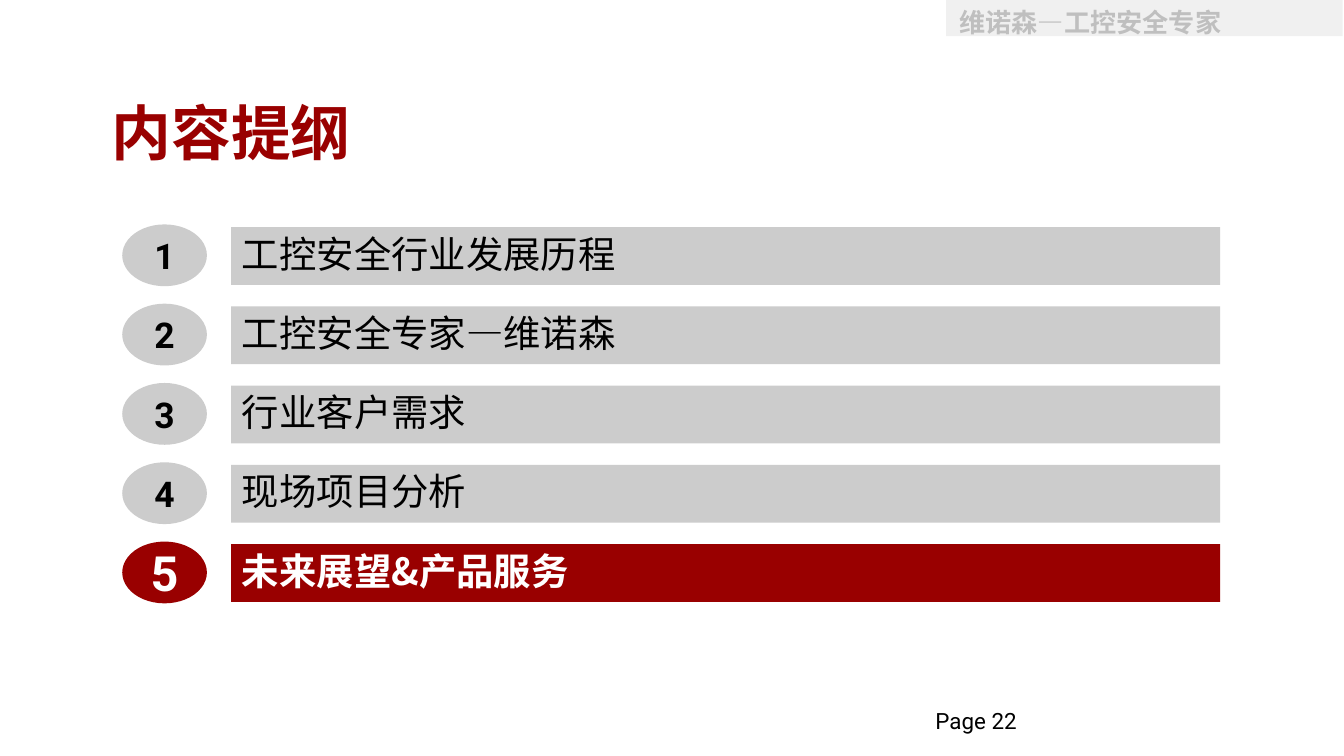
from pptx import Presentation
from pptx.dml.color import RGBColor
from pptx.enum.shapes import MSO_SHAPE
from pptx.enum.text import MSO_ANCHOR, PP_ALIGN
from pptx.oxml.ns import qn
from pptx.util import Inches, Pt
from lxml.etree import SubElement

TITLE = "内容提纲"
BANNER = "维诺森—工控安全专家"
PAGE = "Page 22"
TOPICS = [
    "工控安全行业发展历程",
    "工控安全专家—维诺森",
    "行业客户需求",
    "现场项目分析",
    "未来展望&产品服务",
]
CURRENT = 5

RED = RGBColor(0x99, 0x00, 0x00)
GRAY = RGBColor(0xCC, 0xCC, 0xCC)
PALE = RGBColor(0xF0, 0xF0, 0xF0)
SILVER = RGBColor(0xBF, 0xBF, 0xBF)
BLACK = RGBColor(0x00, 0x00, 0x00)
WHITE = RGBColor(0xFF, 0xFF, 0xFF)
CJK = "Noto Sans CJK SC"
LATIN = "Roboto"

TOP, PITCH = 1.69, 0.59
BAR_X, BAR_W, BAR_H = 1.72, 7.36, 0.43
OVAL_X, OVAL_W, OVAL_H = 0.91, 0.63, 0.46
OVAL_RISE = 0.02
ITEM_INSETS = (0.08, 0.04, 0.08, 0.04)


def write(sp, text, font, size, color, bold=False, align=PP_ALIGN.LEFT,
          anchor=MSO_ANCHOR.MIDDLE, insets=(0.1, 0.05, 0.1, 0.05),
          wrap=True, spacing=1.0):
    tf = sp.text_frame
    tf.word_wrap = wrap
    tf.vertical_anchor = anchor
    tf.margin_left, tf.margin_top, tf.margin_right, tf.margin_bottom = map(Inches, insets)
    p = tf.paragraphs[0]
    p.text = text
    p.alignment = align
    p.line_spacing = spacing
    p.font.name = font
    p.font.size = Pt(size)
    p.font.bold = bold
    p.font.color.rgb = color
    SubElement(p._p.pPr.find(qn("a:defRPr")), qn("a:ea"), typeface=font)


def add_block(s, kind, box, fill):
    sp = s.shapes.add_shape(kind, *map(Inches, box))
    sp.shadow.inherit = False
    sp.fill.solid()
    sp.fill.fore_color.rgb = fill
    sp.line.fill.background()
    return sp


def add_text(s, box):
    return s.shapes.add_textbox(*map(Inches, box))


prs = Presentation()
prs.slide_width = Inches(10)
prs.slide_height = prs.slide_width * 9 // 16
s = prs.slides.add_slide(prs.slide_layouts[6])

write(add_text(s, (6.96, 5.29, 2.29, 0.37)), PAGE, LATIN, 12, BLACK,
      anchor=MSO_ANCHOR.TOP, insets=(0, 0, 0, 0), spacing=0.85)
write(add_block(s, MSO_SHAPE.RECTANGLE, (7.04, 0, 2.95, 0.27), PALE),
      BANNER, CJK, 14, SILVER, bold=True, anchor=MSO_ANCHOR.TOP)
write(add_text(s, (0.83, 0.58, 8.35, 0.8)), TITLE, CJK, 32, RED,
      bold=True, insets=(0, 0.04, 0.09, 0.04))

for number, topic in enumerate(TOPICS, 1):
    active = number == CURRENT
    fill, color = (RED, WHITE) if active else (GRAY, BLACK)
    y = TOP + (number - 1) * PITCH
    bar = add_block(s, MSO_SHAPE.RECTANGLE, (BAR_X, y, BAR_W, BAR_H), fill)
    write(bar, topic, CJK, 20, color, bold=active,
          insets=ITEM_INSETS, wrap=False, spacing=0.9)
    oval = add_block(s, MSO_SHAPE.OVAL, (OVAL_X, y - OVAL_RISE, OVAL_W, OVAL_H), fill)
    write(oval, str(number), LATIN, 26 if active else 19, color, bold=True,
          align=PP_ALIGN.CENTER, insets=ITEM_INSETS, wrap=False)

prs.save("out.pptx")
